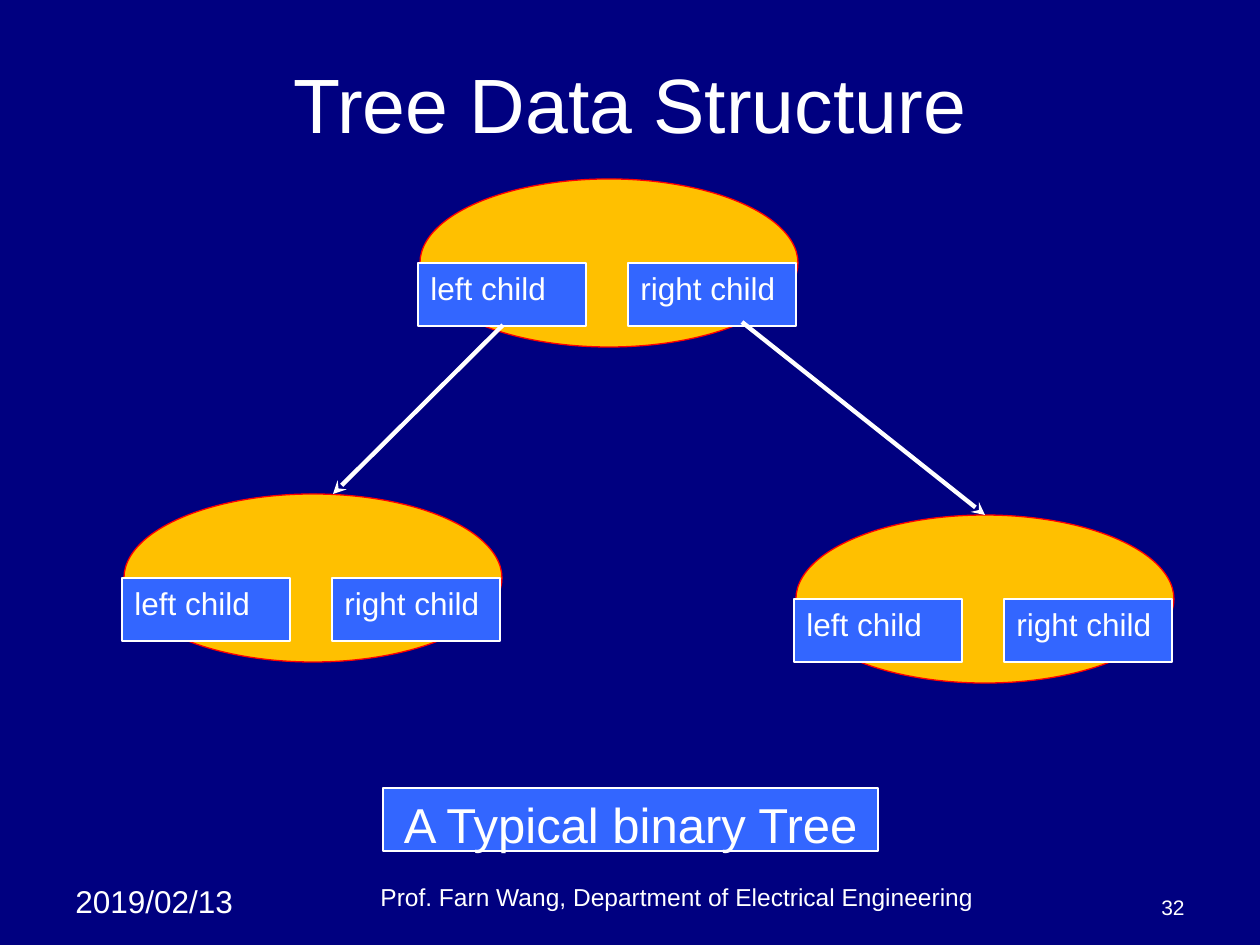
import pptx
import pptx.dml.color
import pptx.enum.shapes
import pptx.enum.text
import pptx.oxml.ns
import pptx.util
import lxml.etree

EMU_PER_PX = 914400 / 126
RGBColor = pptx.dml.color.RGBColor
NAVY = RGBColor(0x00, 0x00, 0x80)
AMBER = RGBColor(0xFF, 0xC0, 0x00)
RED = RGBColor(0xFF, 0x00, 0x00)
BLUE = RGBColor(0x33, 0x66, 0xFF)
WHITE = RGBColor(0xFF, 0xFF, 0xFF)

SHAPE = pptx.enum.shapes.MSO_SHAPE
ALIGN = pptx.enum.text.PP_ALIGN
ANCHOR = pptx.enum.text.MSO_ANCHOR

# Node geometry: two child fields sit on the lower half of an ellipse
NODE_WIDTH, NODE_HEIGHT = 378, 168
FIELD_WIDTH, FIELD_HEIGHT = 168, 63
FIELD_PITCH = 210


def px(length):
    return pptx.util.Emu(round(length * EMU_PER_PX))


def write_text(shape, text, size=18, align=ALIGN.LEFT, anchor=ANCHOR.TOP):
    frame = shape.text_frame
    frame.word_wrap = True
    frame.vertical_anchor = anchor
    para = frame.paragraphs[0]
    para.alignment = align
    span = para.add_run()
    span.text = text
    span.font.name = "Arial"
    span.font.size = pptx.util.Pt(size)
    span.font.color.rgb = WHITE


def add_label(page, text, left, top, width, height, **text_format):
    box = page.shapes.add_textbox(px(left), px(top), px(width), px(height))
    write_text(box, text, **text_format)


def add_outlined(page, kind, left, top, width, height, fill, outline):
    shape = page.shapes.add_shape(kind, px(left), px(top), px(width), px(height))
    shape.shadow.inherit = False
    shape.fill.solid()
    shape.fill.fore_color.rgb = fill
    shape.line.color.rgb = outline
    shape.line.width = pptx.util.Pt(0.75)
    return shape


def add_field(page, text, left, top, width, **text_format):
    field = add_outlined(page, SHAPE.RECTANGLE, left, top, width, FIELD_HEIGHT, BLUE, WHITE)
    write_text(field, text, **text_format)


def add_node(page, left, top):
    add_outlined(page, SHAPE.OVAL, left, top, NODE_WIDTH, NODE_HEIGHT, AMBER, RED)
    for index, text in enumerate(("left child", "right child")):
        add_field(page, text, left - 2 + index * FIELD_PITCH, top + NODE_HEIGHT // 2, FIELD_WIDTH)


def add_arrow(page, start, end):
    arrow = page.shapes.add_connector(
        pptx.enum.shapes.MSO_CONNECTOR.STRAIGHT, *map(px, start + end))
    arrow.line.color.rgb = WHITE
    arrow.line.width = pptx.util.Pt(2.5)
    properties = arrow.element.find(pptx.oxml.ns.qn("p:spPr"))
    line = properties.find(pptx.oxml.ns.qn("a:ln"))
    lxml.etree.SubElement(line, pptx.oxml.ns.qn("a:tailEnd"), type="stealth")
    lxml.etree.SubElement(properties, pptx.oxml.ns.qn("a:effectLst"))


def main():
    deck = pptx.Presentation()
    deck.slide_width, deck.slide_height = px(1260), px(945)
    page = deck.slides.add_slide(deck.slide_layouts[6])
    page.background.fill.solid()
    page.background.fill.fore_color.rgb = NAVY

    # Title
    add_label(page, "Tree Data Structure", 63, 38, 1134, 130,
              size=44, align=ALIGN.CENTER, anchor=ANCHOR.MIDDLE)

    # Tree: root, left child, right child
    for left, top in ((420, 179), (124, 494), (796, 515)):
        add_node(page, left, top)
    add_arrow(page, (503, 325), (333, 494))
    add_arrow(page, (742, 322), (985, 515))

    # Caption
    add_field(page, "A Typical binary Tree", 383, 788, 495, size=28, align=ALIGN.CENTER)

    # Footer
    add_label(page, "2019/02/13", 63, 876, 199, 50)
    add_label(page, "Prof. Farn Wang, Department of Electrical Engineering", 252, 876, 850, 42,
              size=14, align=ALIGN.CENTER, anchor=ANCHOR.BOTTOM)
    add_label(page, "32", 903, 892, 294, 34,
              size=12, align=ALIGN.RIGHT, anchor=ANCHOR.BOTTOM)

    deck.save("out.pptx")


if __name__ == "__main__":
    main()
